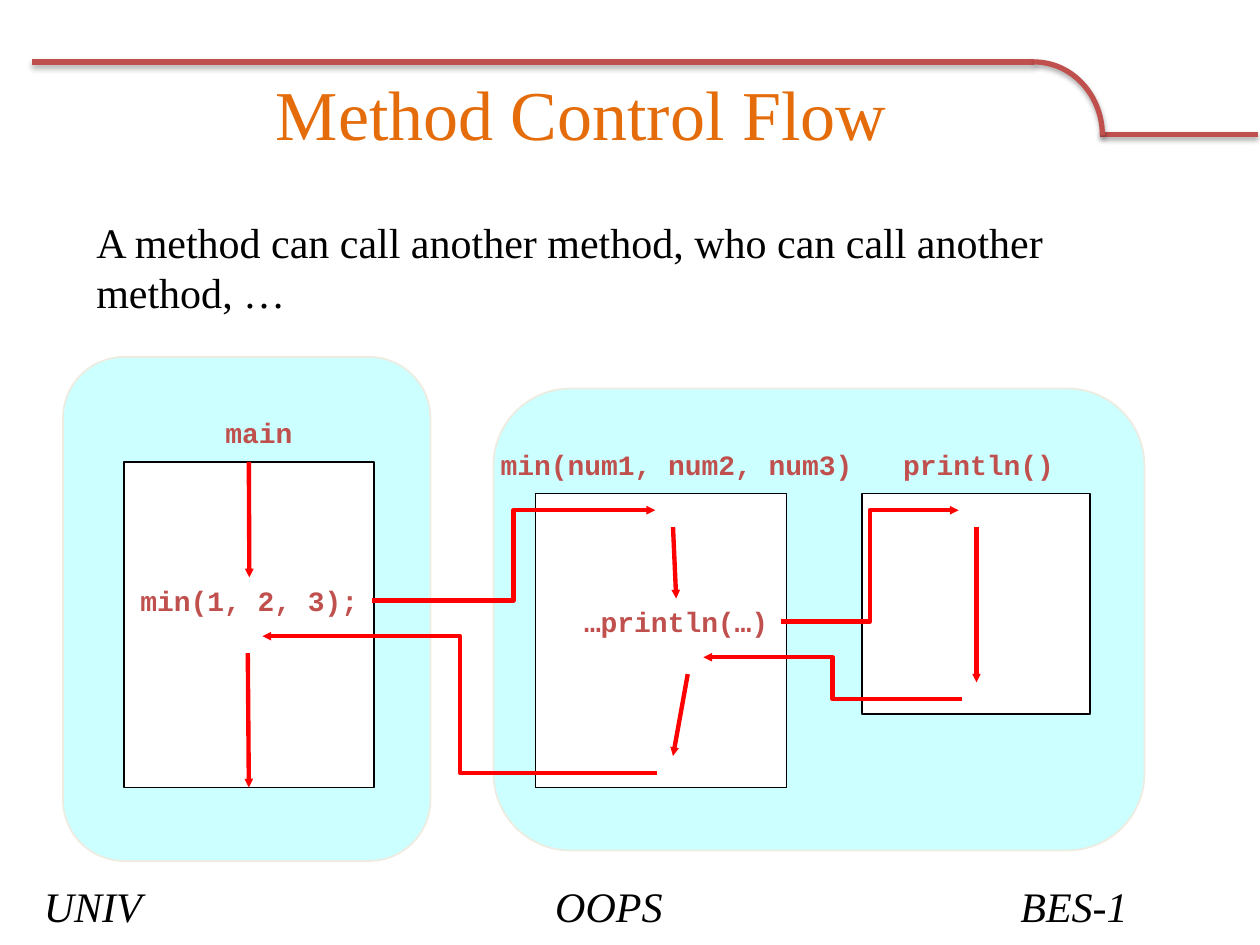
from lxml import etree
from pptx import Presentation
from pptx import util as u
from pptx.dml.color import RGBColor
from pptx.enum import shapes, text
from pptx.oxml import ns

# Grid of 120 columns by 90 rows
COLUMNS, ROWS = 120, 90
WIDTH, HEIGHT = u.Inches(10), u.Inches(7.5)
ACCENT, RED, BLACK, WHITE = "C0504D", "FF0000", "000000", "FFFFFF"
ZONE_FILL, ZONE_LINE, TITLE = "CCFFFF", "EEECE1", "E46C0A"
LABEL_ROWS = 4.4


def color(value):
    return RGBColor.from_string(value)


def cells(*values):
    """Turn alternating column and row numbers into lengths."""
    units = (WIDTH / COLUMNS, HEIGHT / ROWS)
    return [round(value * units[i % 2]) for i, value in enumerate(values)]


def child(parent, tag, **attributes):
    return etree.SubElement(parent, ns.qn(tag), attributes)


def add_effects(item, shadow):
    """Give an element the soft frame shadow, or an empty effect list."""
    effects = child(item._element.spPr, "a:effectLst")
    if shadow:
        outer = child(effects, "a:outerShdw", blurRad=str(u.Pt(3.1)),
                      dist=str(u.Pt(1.8)), dir="5400000", rotWithShape="0")
        tint = child(outer, "a:srgbClr", val=BLACK)
        child(tint, "a:alpha", val="35000")


def set_line(item, value, weight):
    item.line.color.rgb = color(value)
    item.line.width = u.Pt(weight)


def add_text(page, place, words, *, font="Times New Roman", size=24, ink=BLACK,
             bold=False, italic=False, align="LEFT", anchor="TOP", wrap=True,
             before=0, tabs=()):
    box = page.shapes.add_textbox(*cells(*place))
    frame = box.text_frame
    frame.word_wrap = wrap
    frame.vertical_anchor = getattr(text.MSO_ANCHOR, anchor)
    para = frame.paragraphs[0]
    para.alignment = getattr(text.PP_ALIGN, align)
    para.space_before = u.Pt(before)
    if tabs:
        stops = child(para._p.get_or_add_pPr(), "a:tabLst")
        for column in tabs:
            child(stops, "a:tab", pos=str(cells(column)[0]), algn="l")
    span = para.add_run()
    span.text = words
    span.font.name, span.font.size = font, u.Pt(size)
    span.font.bold, span.font.italic = bold, italic
    span.font.color.rgb = color(ink)
    return box


def add_label(page, column, row, columns, words):
    return add_text(page, (column, row, columns, LABEL_ROWS), words,
                    font="Courier New", size=16, ink=ACCENT, bold=True,
                    align="CENTER", anchor="MIDDLE", wrap=False)


def add_block(page, kind, place, fill, line):
    block = page.shapes.add_shape(kind, *cells(*place))
    block.shadow.inherit = False
    block.fill.solid()
    block.fill.fore_color.rgb = color(fill)
    set_line(block, line, 1)
    return block


def add_zone(page, *place):
    kind = shapes.MSO_SHAPE.FLOWCHART_ALTERNATE_PROCESS
    return add_block(page, kind, place, ZONE_FILL, ZONE_LINE)


def add_method(page, *place):
    return add_block(page, shapes.MSO_SHAPE.RECTANGLE, place, WHITE, BLACK)


def add_connector(page, place, kind, value, weight, shadow=False):
    connector = page.shapes.add_connector(kind, *cells(*place))
    set_line(connector, value, weight)
    add_effects(connector, shadow)
    return connector


def add_arrow(page, *place, kind=shapes.MSO_CONNECTOR.STRAIGHT):
    arrow = add_connector(page, place, kind, RED, 2.5)
    child(arrow.line._get_or_add_ln(), "a:tailEnd",
          type="triangle", w="sm", len="sm")
    return arrow


def add_frame(page):
    """Draw the rule with its rounded step at the top of the page."""
    for place in ((104.8, 12.8, 119.8, 12.8), (98.5, 5.9, 3, 5.9)):
        add_connector(page, place, shapes.MSO_CONNECTOR.STRAIGHT,
                      ACCENT, 3, shadow=True)
    arc = page.shapes.add_shape(shapes.MSO_SHAPE.ARC, *cells(92, 5.9, 13, 14))
    arc.fill.background()
    set_line(arc, ACCENT, 3)
    add_effects(arc, shadow=True)


def add_flow(page):
    # Zone with the called methods
    add_zone(page, 47, 37, 62, 44)
    add_method(page, 51, 47, 23.9, 28)
    add_method(page, 82.1, 47, 21.7, 21)
    add_label(page, 46.4, 42, 36.1, "min(num1, num2, num3)")
    add_label(page, 84.8, 42, 16.8, "println()")
    print_call = add_label(page, 54.4, 57, 20, "…println(…)")

    # Zone with the main method
    add_zone(page, 6, 34, 35, 48)
    main_method = add_method(page, 11.8, 44, 23.8, 31)
    min_call = add_label(page, 12.1, 55, 23.3, "min(1, 2, 3);")
    add_label(page, 20.2, 39, 8.9, "main")

    # Steps inside each method
    start = add_arrow(page, 23.6, 44, 23.8, 55)
    start.begin_connect(main_method, 0)
    start.end_connect(min_call, 0)
    finish = add_arrow(page, 23.6, 62.2, 23.6, 75)
    finish.end_connect(main_method, 2)
    add_arrow(page, 64.1, 50.2, 64.4, 57).end_connect(print_call, 0)
    add_arrow(page, 65.5, 64.2, 64.1, 72)
    add_arrow(page, 93, 50.2, 93, 65)

    # Calls and returns between methods
    for place in ((35.4, 57.2, 62.4, 48.6), (74.4, 59.2, 91.3, 48.6),
                  (91.6, 66.6, 67, 62.6), (62.6, 73.6, 25, 60.6)):
        add_arrow(page, *place, kind=shapes.MSO_CONNECTOR.ELBOW)


def main():
    deck = Presentation()
    deck.slide_width, deck.slide_height = WIDTH, HEIGHT
    page = deck.slides.add_slide(deck.slide_layouts[6])

    add_frame(page)
    add_text(page, (6, 6.4, 97, 8.6), " Method Control Flow", size=40,
             ink=TITLE, align="CENTER", anchor="MIDDLE")
    add_text(page, (8, 20, 102, 61), "A method can call another method, "
             "who can call another method, …", before=4.8)
    add_flow(page)

    # Footer
    add_text(page, (3, 83.3, 114.6, 6), "UNIV\tOOPS\tBES-1",
             italic=True, tabs=(48.7, 93))
    deck.save("out.pptx")


if __name__ == "__main__":
    main()
